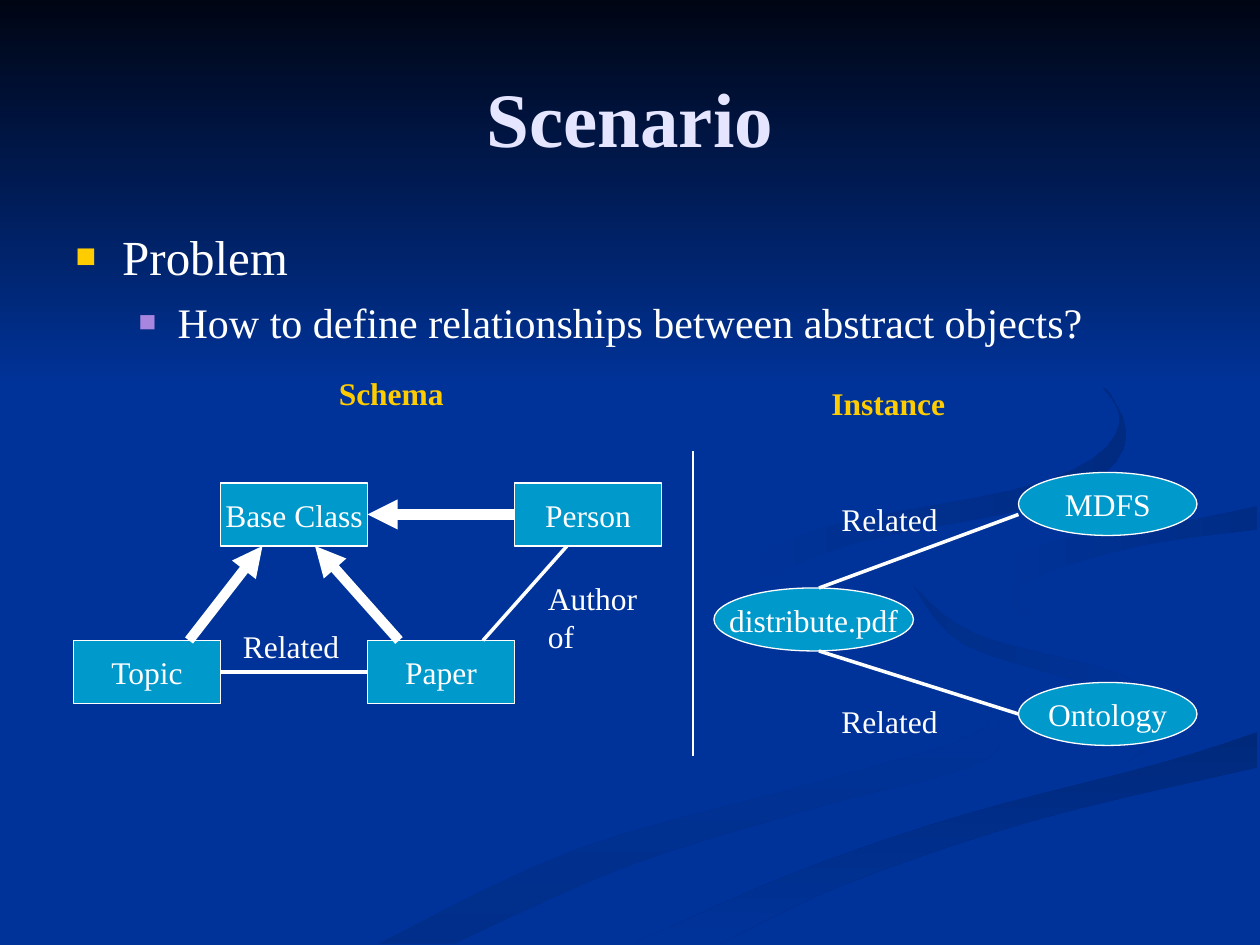
"""Build the Scenario slide: a class schema beside its instances."""
from lxml import etree
from pptx import Presentation
from pptx.dml.color import RGBColor
from pptx.enum.shapes import MSO_CONNECTOR, MSO_SHAPE
from pptx.enum.text import MSO_ANCHOR, PP_ALIGN
from pptx.oxml.ns import qn
from pptx.util import Inches, Pt

RECT, OVAL = MSO_SHAPE.RECTANGLE, MSO_SHAPE.OVAL
LINE = MSO_CONNECTOR.STRAIGHT
MID, CENTER, LEFT = MSO_ANCHOR.MIDDLE, PP_ALIGN.CENTER, PP_ALIGN.LEFT
FONT = "Times New Roman"
WHITE, GOLD, BLUE, CYAN = "FFFFFF", "FFCC00", "003399", "0099CC"
UNIT = Inches(1) / 12
THIN, BOLD, HAIR = 2, 5.75, 0.75
STEPS = 5

TITLE = "Scenario"
ITEMS = [
    ("Problem", 0, 28, 0.37, 0.37, 7, GOLD),
    ("How to define relationships between abstract objects?",
     1, 24, 0.81, 0.31, 6, "A886E0"),
]
NODES = {
    "Base Class": (RECT, 21, 46, 14),
    "Topic": (RECT, 7, 61, 14),
    "Paper": (RECT, 35, 61, 14),
    "Person": (RECT, 49, 46, 14),
    "distribute.pdf": (OVAL, 68, 56, 19),
    "MDFS": (OVAL, 97, 45, 17),
    "Ontology": (OVAL, 97, 65, 17),
}
LINKS = [
    (21, 64, 35, 64, THIN),
    (38, 61, 30, 52, BOLD),
    (18, 61, 25, 52, BOLD),
    (49, 49, 35, 49, BOLD),
    (46, 61, 54, 52, THIN),
    (78, 62, 97, 68, THIN),
    (78, 56, 97, 49, THIN),
    (66, 43, 66, 72, HAIR),
]
LABELS = [
    ("Related", 1.83, 4.93, 1.09, WHITE),
    ("Author\nof", 4.25, 4.55, 1.11, WHITE),
    ("Related", 6.58, 3.92, 1.09, WHITE),
    ("Related", 6.58, 5.52, 1.09, WHITE),
    ("Schema", 2.59, 2.92, 1.18, GOLD),
    ("Instance", 6.5, 3, 1.28, GOLD),
]
WAVES = [
    ("002E8A", BLUE, 270,
     [[(7.81, 5.56), (7.74, 5.83), (6.52, 6.2), (4.58, 6.74), (3, 7.49)],
      [(3.61, 7.49), (4.99, 6.87), (6.51, 6.4), (7.86, 6.01), (7.81, 5.53)]]),
    ("002E8A", BLUE, 0,
     [[(7.24, 4.64), (7.66, 5.12), (8.8, 5.49), (9.17, 5.85), (8.94, 6.05)],
      [(9.43, 5.7), (8.88, 5.35), (7.74, 5.03), (7.24, 4.64)]]),
    ("00297C", BLUE, 90,
     [[(5.03, 7.49), (6.3, 6.93), (7.64, 6.47), (9.2, 6.06), (9.98, 5.81)],
      [(9.98, 6.09), (8.21, 6.51), (6.7, 7.02), (5.71, 7.49)]]),
    (BLUE, "002C85", 0,
     [[(8.26, 4.96), (7.81, 4.6), (8.35, 4.3), (9.33, 4.15), (9.98, 4.02)],
      [(9.98, 4.2), (8.96, 4.35), (8.09, 4.66), (8.26, 4.96)]]),
    (BLUE, "002B81", 0,
     [[(7.62, 2.33), (8.46, 2.79), (8.89, 3.35), (8.3, 3.82), (6.49, 4.2),
       (5.77, 4.62), (6.22, 5)],
      [(5.94, 4.65), (6.83, 4.3), (8.41, 3.96), (8.94, 3.44), (8.43, 2.75),
       (7.62, 2.33)]]),
]


def color(code):
    return RGBColor.from_string(code)


def style(frame, size, code, align, bold=False):
    for para in frame.paragraphs:
        para.alignment = align
        for run in para.runs:
            font = run.font
            font.name, font.size, font.bold = FONT, Pt(size), bold
            font.color.rgb = color(code)


def place(shape, left, top, width, height):
    shape.left, shape.top = Inches(left), Inches(top)
    shape.width, shape.height = Inches(width), Inches(height)


def blend(shape, start, end, angle):
    shape.shadow.inherit = False
    shape.line.fill.background()
    shape.fill.gradient()
    shape.fill.gradient_angle = (360 - angle) % 360
    for stop, code, pos in zip(shape.fill.gradient_stops, (start, end), (0, 1)):
        stop.color.rgb, stop.position = color(code), pos


def bend(a, b, c, d, t):
    return b + t * (c - a + t * (2 * a - 5 * b + 4 * c - d
                                 + t * (3 * (b - c) + d - a))) / 2


def smooth(edge):
    knots = [edge[0], *edge, edge[-1]]
    dots = [tuple(bend(*axis, n / STEPS) for axis in zip(*knots[i:i + 4]))
            for i in range(len(edge) - 1) for n in range(STEPS)]
    return [(Inches(x), Inches(y)) for x, y in [*dots, edge[-1]]]


def add_back(slide, deck):
    slide.background.fill.solid()
    slide.background.fill.fore_color.rgb = color(BLUE)
    for start, end, angle, edges in WAVES:
        dots = [dot for edge in edges for dot in smooth(edge)]
        wave = slide.shapes.build_freeform(*dots[0])
        wave.add_line_segments(dots[1:], close=True)
        blend(wave.convert_to_shape(), start, end, angle)
    sky = slide.shapes.add_shape(RECT, 0, 0, deck.slide_width, Inches(3.08))
    blend(sky, "000514", BLUE, 90)


def add_text(slide):
    title, body = slide.shapes.title, slide.placeholders[1]
    for shape in (title, body):
        slide.shapes._spTree.append(shape._element)
    place(title, 0.5, 0.3, 9, 1.25)
    title.text_frame.text = TITLE
    title.text_frame.vertical_anchor = MID
    style(title.text_frame, 44, "E5E5FF", CENTER, True)
    place(body, 0.5, 1.75, 9, 4.95)
    frame = body.text_frame
    frame.text = "\n".join(item[0] for item in ITEMS)
    style(frame, 28, WHITE, LEFT)
    for para, item in zip(frame.paragraphs, ITEMS):
        _, level, size, margin, hang, gap, code = item
        para.level, para.space_before = level, Pt(gap)
        para.runs[0].font.size = Pt(size)
        props = para._p.get_or_add_pPr()
        props.set("marL", str(Inches(margin)))
        props.set("indent", str(-Inches(hang)))
        tint = etree.SubElement(props, qn("a:buClr"))
        etree.SubElement(tint, qn("a:srgbClr"), val=code)
        etree.SubElement(props, qn("a:buSzPct"), val="70000")
        etree.SubElement(props, qn("a:buFont"), typeface=FONT)
        etree.SubElement(props, qn("a:buChar"), char="■")


def add_link(slide, ends, width):
    link = slide.shapes.add_connector(LINE, *(round(n * UNIT) for n in ends))
    link.line.color.rgb, link.line.width = color(WHITE), Pt(width)
    if width == BOLD:
        etree.SubElement(link.line._get_or_add_ln(), qn("a:tailEnd"), type="triangle")
    etree.SubElement(link._element.spPr, qn("a:effectLst"))


def add_node(slide, text, kind, left, top, width):
    spots = (round(n * UNIT) for n in (left, top, width, 6))
    node = slide.shapes.add_shape(kind, *spots)
    node.shadow.inherit = False
    node.fill.solid()
    node.fill.fore_color.rgb = color(CYAN)
    node.line.color.rgb, node.line.width = color(WHITE), Pt(HAIR)
    frame = node.text_frame
    frame.text, frame.word_wrap, frame.vertical_anchor = text, False, MID
    style(frame, 18, WHITE, CENTER)


def add_label(slide, text, left, top, width, code):
    height = 0.1 + 0.3 * len(text.splitlines())
    box = slide.shapes.add_textbox(*map(Inches, (left, top, width, height)))
    box.text_frame.text, box.text_frame.word_wrap = text, True
    style(box.text_frame, 18, code, LEFT, code == GOLD)


def main():
    deck = Presentation()
    deck.slide_width, deck.slide_height = Inches(10), Inches(7.5)
    slide = deck.slides.add_slide(deck.slide_layouts[1])
    add_back(slide, deck)
    add_text(slide)
    for text, spot in NODES.items():
        add_node(slide, text, *spot)
    for *ends, width in LINKS:
        add_link(slide, ends, width)
    for label in LABELS:
        add_label(slide, *label)
    deck.save("out.pptx")


if __name__ == "__main__":
    main()
